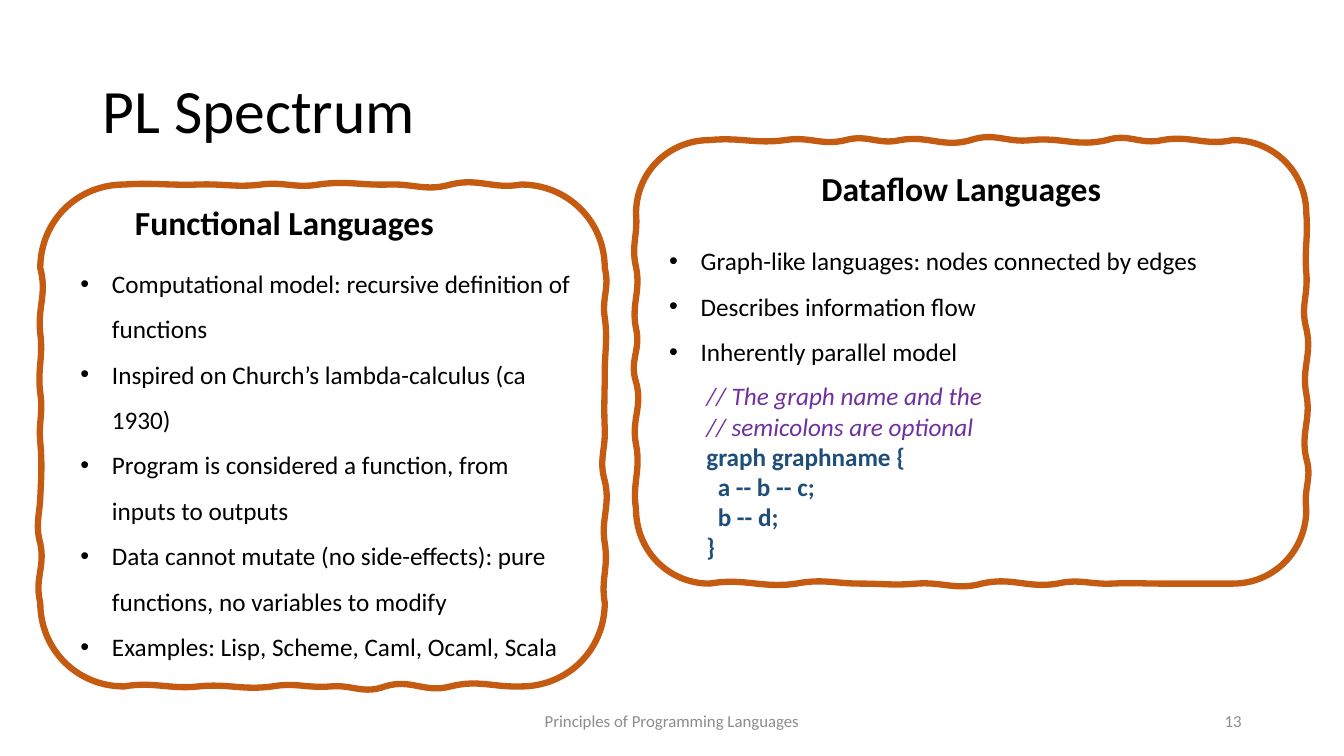
from lxml import etree
from pptx import Presentation
from pptx.dml.color import RGBColor
from pptx.enum.text import MSO_ANCHOR, MSO_AUTO_SIZE, PP_ALIGN
from pptx.oxml.ns import qn
from pptx.util import Pt

BLACK = RGBColor(0x00, 0x00, 0x00)
GRAY = RGBColor(0x8C, 0x8C, 0x8C)
ORANGE = RGBColor(0xC5, 0x5A, 0x11)
PURPLE = RGBColor(0x70, 0x30, 0xA0)
NAVY = RGBColor(0x1F, 0x4E, 0x79)
FONT = "Calibri"
LEFT, CENTER, RIGHT = PP_ALIGN.LEFT, PP_ALIGN.CENTER, PP_ALIGN.RIGHT
TOP, MIDDLE = MSO_ANCHOR.TOP, MSO_ANCHOR.MIDDLE
FIT_SHAPE, NO_FIT = MSO_AUTO_SIZE.SHAPE_TO_FIT_TEXT, MSO_AUTO_SIZE.NONE

UNITS_PER_POINT = 100  # resolution of the frame outlines
CORNER, WAVE = 0.56, 0.4  # handle lengths, as a share of the curve's extent

# Each side, clockwise from the top: (position along the side, wave height)
FUNCTIONAL_BOX = (28.8, 131.8, 432, 490.3)
FUNCTIONAL_SIDES = [
    [(88.6, -1.4), (141.8, -0.7), (186.5, -2.2), (227.5, -2.9),
     (277.9, -0.7), (321.8, -5), (372.2, -3.6)],
    [(191.5, 3.6), (226.8, 2.2), (266.4, 0), (306, 0.7),
     (343.4, 4.3), (388.1, 2.9), (430.6, 2.9)],
    [(372.2, 0.7), (321.8, 5), (275, 5.8), (236.2, 1.4),
     (194.4, 2.9), (141.8, 2.2), (88.6, 3.6)],
    [(430.6, -4.3), (388.1, -3.6), (355.7, 0.7), (316.1, -1.4),
     (280.8, -2.2), (238.3, -2.2), (191.5, -5)],
]
DATAFLOW_BOX = (454.3, 100.1, 933.1, 416.9)
DATAFLOW_SIDES = [
    [(506.9, -2.2), (560.9, -2.9), (604.1, -4.3), (643, -3.6), (693.4, -5.8),
     (736.6, -2.2), (790.6, -5), (830.2, -3.6), (880.6, -4.3)],
    [(152.6, 1.4), (195.1, 1.4), (234.7, 4.3), (281.5, 3.6),
     (327.6, 4.3), (363.6, 2.2)],
    [(880.6, 0), (830.2, 0), (794.2, 0.7), (755.3, 3.6), (701.3, 5),
     (654.5, 1.4), (614.9, 0), (568.8, 3.6), (506.9, 4.3)],
    [(363.6, -2.9), (317.5, -3.6), (272.9, -5), (234.7, -3.6),
     (190.8, -3.6), (152.6, -1.4)],
]

FUNCTIONAL_POINTS = [
    "Computational model: recursive definition of functions",
    "Inspired on Church’s lambda-calculus (ca 1930)",
    "Program is considered a function, from inputs to outputs",
    "Data cannot mutate (no side-effects): pure functions, no variables to modify",
    "Examples: Lisp, Scheme, Caml, Ocaml, Scala",
]
DATAFLOW_POINTS = [
    "Graph-like languages: nodes connected by edges",
    "Describes information flow",
    "Inherently parallel model",
]
GRAPH_CODE = [
    "// The graph name and the",
    "// semicolons are optional",
    "graph graphname {",
    "  a -- b -- c;",
    "  b -- d;",
    "}",
]


def place(sp, left, top, width, height):
    sp.left, sp.top, sp.width, sp.height = Pt(left), Pt(top), Pt(width), Pt(height)


def style(p, size, color, bold=False, italic=False):
    for r in p.runs:
        r.font.name, r.font.size = FONT, Pt(size)
        r.font.color.rgb = color
        r.font.bold, r.font.italic = bold, italic


def add_text(slide, box, lines, size, color=BLACK, bold=False, align=LEFT,
             anchor=TOP, wrap=True, fit=FIT_SHAPE):
    sp = slide.shapes.add_textbox(*(Pt(v) for v in box))
    tf = sp.text_frame
    tf.word_wrap, tf.auto_size, tf.vertical_anchor = wrap, fit, anchor
    for i, line in enumerate(lines):
        p = tf.add_paragraph() if i else tf.paragraphs[0]
        p.text, p.alignment = line, align
        style(p, size, color, bold)
    return tf


def add_bullets(slide, box, lines):
    for p in add_text(slide, box, lines, 18).paragraphs:
        p.line_spacing = 1.5
        pPr = p._p.get_or_add_pPr()
        pPr.set("marL", str(Pt(22.5)))
        pPr.set("indent", str(-Pt(22.5)))
        etree.SubElement(pPr, qn("a:buFont")).set("typeface", "Arial")
        etree.SubElement(pPr, qn("a:buChar")).set("char", "•")


def add_code(slide, box, lines):
    for p in add_text(slide, box, lines, 18).paragraphs:
        comment = p.text.startswith("//")
        style(p, 18, PURPLE if comment else NAVY, not comment, comment)


def wavy_curves(box, sides):
    """Curves round the box, each as (handle, handle, end), in outline units."""
    left, top, right, bottom = box
    across = (top, right, bottom, left)

    def point(side, along, offset=0):
        level = across[side] + offset
        xy = (level, along) if side % 2 else (along, level)
        return tuple(round(v * UNITS_PER_POINT) for v in xy)

    curves = []
    for n, side in enumerate(sides):
        for (a, wave_a), (b, wave_b) in zip(side, side[1:]):
            reach = WAVE * (b - a)
            curves.append((point(n, a + reach, wave_a),
                           point(n, b - reach, -wave_b), point(n, b)))
        # Rounded corner to the next side
        m = (n + 1) % 4
        end, start = side[-1][0], sides[m][0][0]
        curves.append((point(n, end + CORNER * (across[m] - end)),
                       point(m, start + CORNER * (across[n] - start)),
                       point(m, start)))
    return curves


def add_frame(slide, box, sides):
    curves = wavy_curves(box, sides)
    ends = [end for _, _, end in curves]
    builder = slide.shapes.build_freeform(*ends[-1], scale=Pt(1) / UNITS_PER_POINT)
    builder.add_line_segments(ends, close=True)
    sp = builder.convert_to_shape()
    sp.shadow.inherit = False
    sp.fill.background()
    sp.line.color.rgb, sp.line.width = ORANGE, Pt(4.5)

    # Bend the straight segments
    left, top = (min(values) for values in zip(*ends))
    for segment, points in zip(list(sp._element.iter(qn("a:lnTo"))), curves):
        bend = etree.Element(qn("a:cubicBezTo"))
        for x, y in points:
            etree.SubElement(bend, qn("a:pt"), x=str(x - left), y=str(y - top))
        segment.getparent().replace(segment, bend)


def set_title(slide, text):
    sp = slide.shapes.title
    place(sp, 66, 28.75, 828, 104.4)
    tf = sp.text_frame
    tf.text = text
    tf.vertical_anchor, tf.auto_size = MIDDLE, NO_FIT
    p = tf.paragraphs[0]
    p.alignment, p.line_spacing = LEFT, 0.9
    style(p, 44, BLACK)


def main():
    prs = Presentation()
    prs.slide_width, prs.slide_height = Pt(960), Pt(540)
    slide = prs.slides.add_slide(prs.slide_layouts[5])

    # Title and footer
    set_title(slide, "PL Spectrum")
    add_text(slide, (318, 500.5, 324, 28.75), ["Principles of Programming Languages"],
             12, GRAY, align=CENTER, anchor=MIDDLE, fit=NO_FIT)
    add_text(slide, (678, 500.5, 216, 28.75), ["13"],
             12, GRAY, align=RIGHT, anchor=MIDDLE, fit=NO_FIT)

    # Functional languages
    add_frame(slide, FUNCTIONAL_BOX, FUNCTIONAL_SIDES)
    add_text(slide, (89.3, 140.8, 230.4, 36), ["Functional Languages"],
             24, bold=True, wrap=False)
    add_bullets(slide, (50.4, 177.3, 367.9, 298), FUNCTIONAL_POINTS)

    # Dataflow languages
    add_frame(slide, DATAFLOW_BOX, DATAFLOW_SIDES)
    add_text(slide, (579.6, 116.6, 216.7, 36), ["Dataflow Languages"],
             24, bold=True, wrap=False)
    add_code(slide, (497.5, 268.3, 290.2, 138.2), GRAPH_CODE)
    add_bullets(slide, (470.9, 161, 404.6, 102.2), DATAFLOW_POINTS)

    prs.save("out.pptx")


if __name__ == "__main__":
    main()
